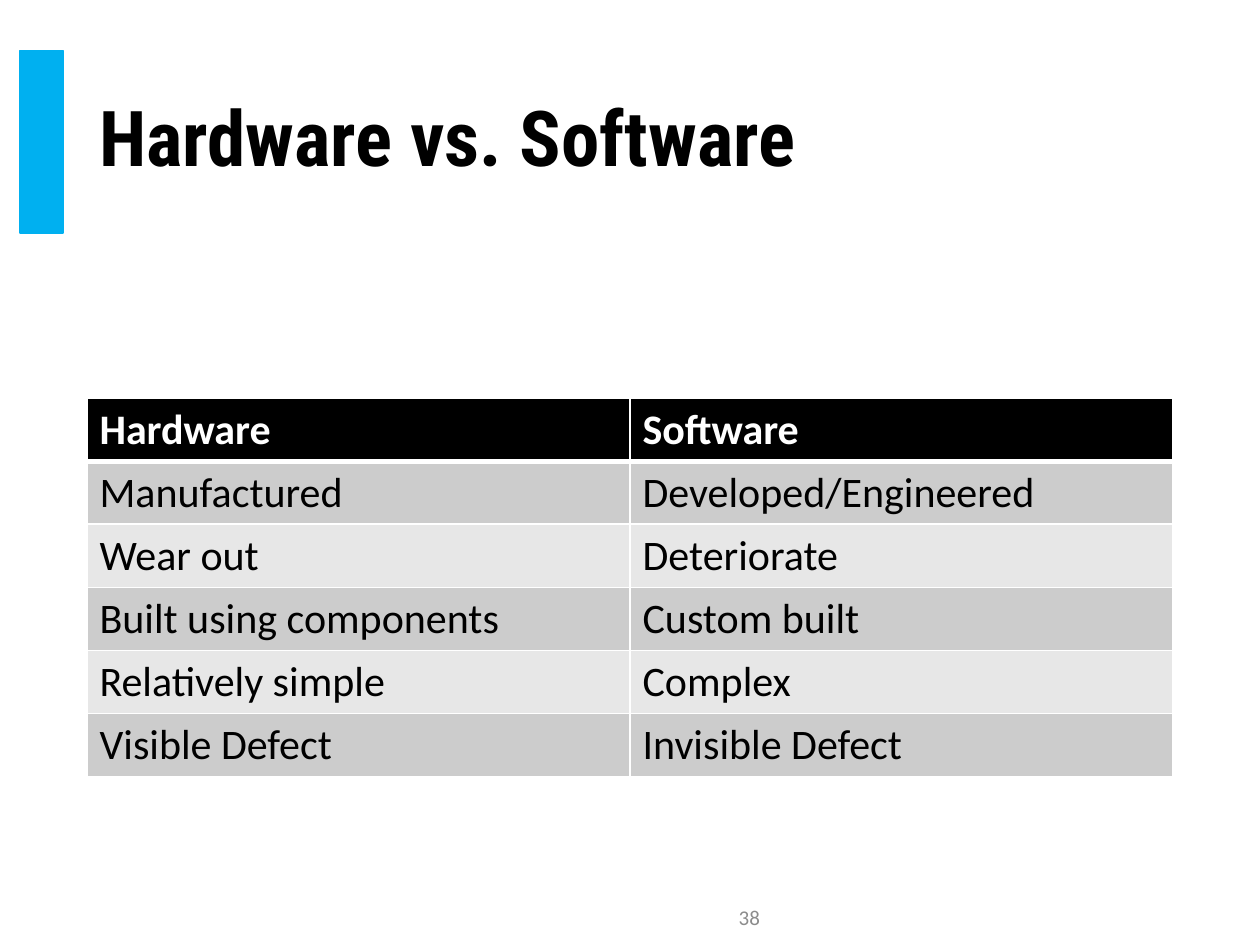
import dataclasses

import lxml.etree
import pptx
import pptx.dml.color
import pptx.enum.shapes
import pptx.enum.text
import pptx.oxml.ns
import pptx.util

WIDTH, HEIGHT = 10, 7.5
MARGIN = 0.69
CONTENT_WIDTH = WIDTH - 2 * MARGIN
TITLE_TOP, TITLE_HEIGHT = 0.4, 1.45
ROW_HEIGHT = 0.5
BLACK, WHITE = "000000", "FFFFFF"

ALIGN = pptx.enum.text.PP_ALIGN


@dataclasses.dataclass(frozen=True)
class Box:
    left: float
    top: float
    width: float
    height: float

    def emu(self) -> list[int]:
        return [pptx.util.Inches(v) for v in dataclasses.astuple(self)]


@dataclasses.dataclass(frozen=True)
class RowStyle:
    fill: str
    color: str = BLACK
    bold: bool = False
    rule_below: float = 1


HEADER = RowStyle(BLACK, WHITE, True, 3)
BANDS = (RowStyle("CCCCCC"), RowStyle("E7E7E7"))
COMPARISON = [
    ("Hardware", "Software"),
    ("Manufactured", "Developed/Engineered"),
    ("Wear out", "Deteriorate"),
    ("Built using components", "Custom built"),
    ("Relatively simple", "Complex"),
    ("Visible Defect", "Invisible Defect"),
]


def rgb(value: str) -> pptx.dml.color.RGBColor:
    return pptx.dml.color.RGBColor.from_string(value)


def write(tf, text: str, *, size: float, font="Calibri", color=BLACK,
          bold=False, align=ALIGN.LEFT, spacing=1.0) -> None:
    p = tf.paragraphs[0]
    p.alignment, p.line_spacing = align, spacing
    r = p.add_run()
    r.text = text
    r.font.size, r.font.name, r.font.bold = pptx.util.Pt(size), font, bold
    r.font.color.rgb = rgb(color)


def add_text(slide, box: Box, text: str, **style) -> None:
    tf = slide.shapes.add_textbox(*box.emu()).text_frame
    tf.word_wrap = True
    tf.vertical_anchor = pptx.enum.text.MSO_ANCHOR.MIDDLE
    write(tf, text, **style)


def add_bar(slide, box: Box, color: str) -> None:
    sp = slide.shapes.add_shape(pptx.enum.shapes.MSO_SHAPE.RECTANGLE, *box.emu())
    sp.shadow.inherit = False
    sp.fill.solid()
    sp.fill.fore_color.rgb = sp.line.color.rgb = rgb(color)
    sp.line.width = pptx.util.Pt(1)


def set_borders(cell, top: float, bottom: float) -> None:
    """Draw white cell borders; top and bottom widths are in points."""
    qn = pptx.oxml.ns.qn
    tc_pr = cell._tc.get_or_add_tcPr()
    for side, width in zip("LRTB", (1, 1, top, bottom)):
        ln = lxml.etree.SubElement(tc_pr, qn(f"a:ln{side}"), w=str(pptx.util.Pt(width)))
        fill = lxml.etree.SubElement(ln, qn("a:solidFill"))
        lxml.etree.SubElement(fill, qn("a:srgbClr"), val=WHITE)


def add_comparison(slide, box: Box, rows: list[tuple[str, str]]) -> None:
    table = slide.shapes.add_table(len(rows), len(rows[0]), *box.emu()).table
    styles = [HEADER] + [BANDS[i % 2] for i in range(len(rows) - 1)]
    rule_above = 1
    for i, (texts, style) in enumerate(zip(rows, styles)):
        for j, text in enumerate(texts):
            cell = table.cell(i, j)
            set_borders(cell, rule_above, style.rule_below)
            cell.fill.solid()
            cell.fill.fore_color.rgb = rgb(style.fill)
            write(cell.text_frame, text, size=24, color=style.color, bold=style.bold)
        rule_above = style.rule_below


def main() -> None:
    prs = pptx.Presentation()
    prs.slide_width = pptx.util.Inches(WIDTH)
    prs.slide_height = pptx.util.Inches(HEIGHT)
    s = prs.slides.add_slide(prs.slide_layouts[6])

    add_bar(s, Box(0.16, TITLE_TOP, 0.34, TITLE_HEIGHT), "00B0F0")
    add_text(s, Box(MARGIN, TITLE_TOP, CONTENT_WIDTH, TITLE_HEIGHT),
             "Hardware vs. Software", size=44, font="Roboto Condensed",
             bold=True, spacing=0.9)
    add_comparison(s, Box(MARGIN, 3.16, CONTENT_WIDTH, ROW_HEIGHT * len(COMPARISON)),
                   COMPARISON)
    add_text(s, Box(3.88, 7.08, 2.25, 0.4), "38", size=12, color="8C8C8C",
             align=ALIGN.RIGHT)
    prs.save("out.pptx")


if __name__ == "__main__":
    main()
